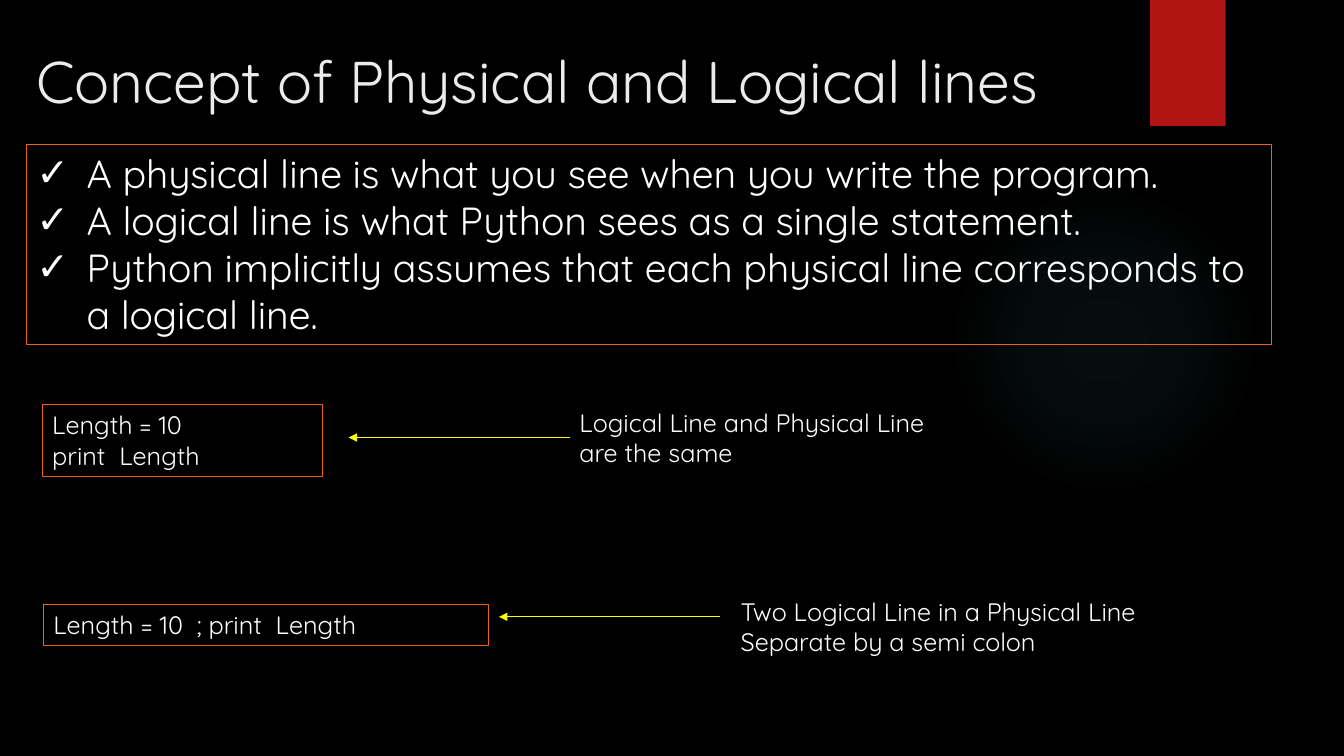
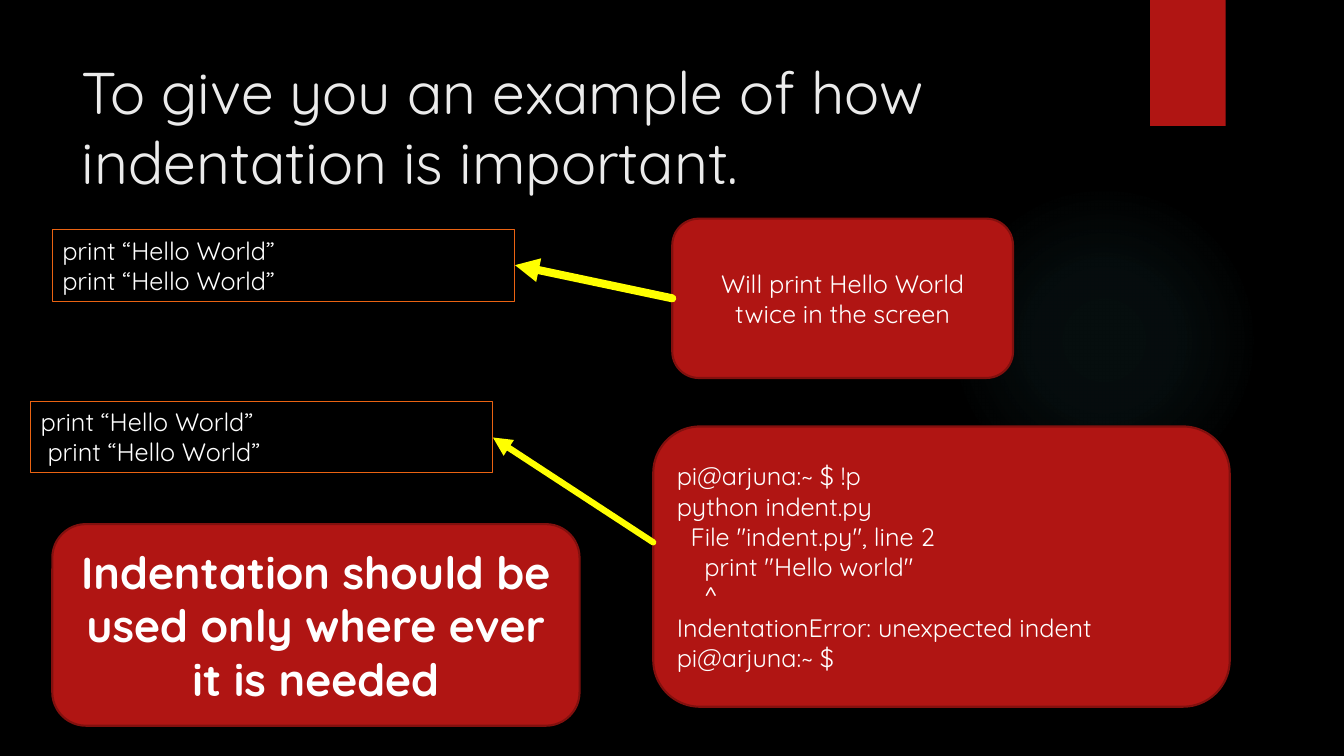
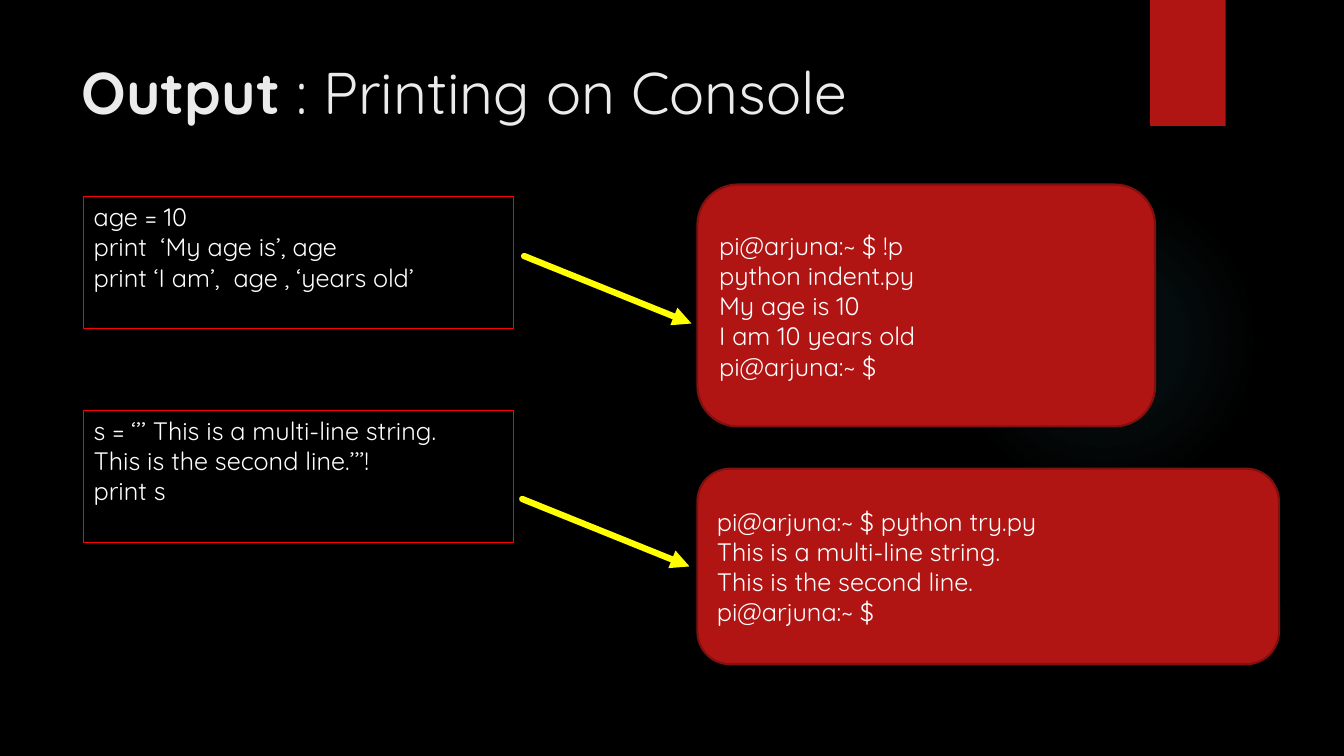
from dataclasses import dataclass

from pptx import Presentation
from pptx.dml.color import RGBColor
from pptx.enum.shapes import MSO_CONNECTOR, MSO_SHAPE
from pptx.enum.text import MSO_ANCHOR, MSO_AUTO_SIZE, PP_ALIGN
from pptx.oxml import parse_xml
from pptx.oxml.ns import nsdecls
from pptx.util import Pt

RECT, ROUND, OVAL = MSO_SHAPE.RECTANGLE, MSO_SHAPE.ROUNDED_RECTANGLE, MSO_SHAPE.OVAL
TOP, MID = MSO_ANCHOR.TOP, MSO_ANCHOR.MIDDLE
LEFT, CENTER = PP_ALIGN.LEFT, PP_ALIGN.CENTER
FIXED = MSO_AUTO_SIZE.NONE
LINE = MSO_CONNECTOR.STRAIGHT


@dataclass(frozen=True)
class Theme:
    font: str = "Quicksand"
    back: str = "000000"
    text: str = "FFFFFF"
    head: str = "EBEBEB"
    red: str = "B01513"
    edge: str = "82100E"
    orange: str = "EA6312"
    bright: str = "FF0000"
    arrow: str = "FFFF00"
    glow: str = "50B9C1"
    title: int = 42
    list: int = 28
    loud: int = 32
    body: int = 18
    thin: float = 0.75
    rim: float = 1.5


T = Theme()

# Kinds of text panel: shape, fill, edge, edge width, anchor, alignment, size, bold
KINDS = {
    "code": (RECT, None, T.orange, T.thin, TOP, LEFT, T.body, False),
    "input": (RECT, None, T.bright, T.thin, TOP, LEFT, T.body, False),
    "note": (None, None, None, 0, TOP, LEFT, T.body, False),
    "shell": (ROUND, T.red, T.edge, T.rim, MID, LEFT, T.body, False),
    "result": (ROUND, T.red, T.edge, T.rim, MID, CENTER, T.body, False),
    "rule": (ROUND, T.red, T.edge, T.rim, MID, CENTER, T.loud, True),
}

# Content: boxes are left, top, width, height; arrows are from x, y, to x, y, width
SLIDES = [
    {
        "title": ("", "Concept of Physical and Logical lines"),
        "at": (18.7, 28.1, 792, 62.6),
        "list": [
            "A physical line is what you see when you write the program.",
            "A logical line is what Python sees as a single statement.",
            "Python implicitly assumes that each physical line corresponds "
            "to a logical line.",
        ],
        "area": (18.7, 103, 889.2, 143.3),
        "panels": [
            ("code", (30.2, 289.2, 200.2, 50.9), ["Length = 10", "print  Length"]),
            ("note", (406.8, 287.3, 265.7, 50.9),
             ["Logical Line and Physical Line are the same"]),
            ("code", (31, 432, 318.2, 29.1), ["Length = 10  ; print  Length"]),
            ("note", (522, 422.6, 334.8, 50.9),
             ["Two Logical Line in a Physical Line", "Separate by a semi colon"]),
        ],
        "arrows": [(406.8, 312.5, 249.1, 312.5, T.thin),
                   (514.1, 440.6, 356.4, 440.6, T.thin)],
    },
    {
        "title": ("", "To give you an example of how indentation is important."),
        "at": (51.1, 36, 767.5, 93.6),
        "panels": [
            ("code", (37.4, 164.2, 329.8, 50.9),
             ["print “Hello World”", "print “Hello World”"]),
            ("result", (480.2, 156.2, 243.4, 113.8),
             ["Will print Hello World twice in the screen"]),
            ("code", (22, 286.6, 329.8, 50.9),
             ["print “Hello World”", " print “Hello World”"]),
            ("shell", (466.6, 304.6, 411.8, 200.2),
             ["pi@arjuna:~ $ !p", "python indent.py", '  File "indent.py", line 2',
              '    print "Hello world"', "    ^",
              "IndentationError: unexpected indent", "pi@arjuna:~ $"]),
            ("rule", (37.4, 374.4, 376.6, 144),
             ["Indentation should be used only where ever it is needed"]),
        ],
        "arrows": [(480.2, 213.1, 367.9, 189.4, 5.75),
                   (466.6, 387.4, 352.1, 312.5, 4.5)],
    },
    {
        "title": ("Output", " : Printing on Console"),
        "at": (51.1, 36, 740.9, 67.7),
        "panels": [
            ("input", (59.8, 140.4, 306.7, 94.5),
             ["age = 10", "print  ‘My age is’, age", "print ‘I am’,  age , ‘years old’"]),
            ("shell", (498.2, 131.8, 326.9, 172.8),
             ["pi@arjuna:~ $ !p", "python indent.py", "My age is 10",
              "I am 10 years old", "pi@arjuna:~ $"]),
            ("input", (59.8, 293, 306.7, 94.5),
             ["s = ‘’’ This is a multi-line string.", "This is the second line.’’’!",
              "print s"]),
            ("shell", (498.2, 334.8, 415.4, 139.7),
             ["pi@arjuna:~ $ python try.py", "This is a multi-line string.",
              "This is the second line.", "pi@arjuna:~ $"]),
        ],
        "arrows": [(374.4, 182.9, 493.9, 231.1, 4.5),
                   (373, 356.4, 492.5, 404.6, 4.5)],
    },
]


def rgb(code):
    return RGBColor.from_string(code)


def points(box):
    return [Pt(n) for n in box]


def place(shape, box):
    shape.left, shape.top, shape.width, shape.height = points(box)


def paint(shape, fill, edge, width):
    if fill:
        shape.fill.solid()
        shape.fill.fore_color.rgb = rgb(fill)
    else:
        shape.fill.background()
    if edge:
        shape.line.color.rgb = rgb(edge)
        shape.line.width = Pt(width)
    else:
        shape.line.fill.background()


def style(run, size, color=T.text, bold=False):
    run.font.name = T.font
    run.font.size = Pt(size)
    run.font.bold = bold
    run.font.color.rgb = rgb(color)


def set_frame(shape, anchor):
    frame = shape.text_frame
    frame.word_wrap = True
    frame.auto_size = FIXED
    frame.vertical_anchor = anchor
    return frame


def write(shape, lines, anchor, align, size, bold=False):
    frame = set_frame(shape, anchor)
    frame.text = "\n".join(lines)
    for para in frame.paragraphs:
        para.alignment = align
        para.space_before = Pt(0)
        for run in para.runs:
            style(run, size, bold=bold)
    return frame


def add_title(slide, parts, box):
    title = slide.shapes.title
    place(title, box)
    para = set_frame(title, TOP).paragraphs[0]
    para.alignment = LEFT
    for text, bold in zip(parts, (True, False)):
        if text:
            run = para.add_run()
            run.text = text
            style(run, T.title, T.head, bold)


def add_list(slide, lines, box):
    body = slide.placeholders[1]
    place(body, box)
    paint(body, None, T.orange, T.thin)
    for para in write(body, lines, TOP, LEFT, T.list).paragraphs:
        props = para._p.get_or_add_pPr()
        props.set("marL", str(Pt(36)))
        props.set("indent", str(Pt(-36)))
        props.append(parse_xml(f'<a:buFont {nsdecls("a")} typeface="Arial"/>'))
        props.append(parse_xml(f'<a:buChar {nsdecls("a")} char="✓"/>'))


def add_panel(slide, kind, box, lines):
    form, fill, edge, width, *rest = KINDS[kind]
    if form is None:
        shape = slide.shapes.add_textbox(*points(box))
    else:
        shape = slide.shapes.add_shape(form, *points(box))
        shape.shadow.inherit = False
        paint(shape, fill, edge, width)
    write(shape, lines, *rest)


def add_arrow(slide, x1, y1, x2, y2, width):
    line = slide.shapes.add_connector(LINE, *points((x1, y1, x2, y2)))
    line.line.color.rgb = rgb(T.arrow)
    line.line.width = Pt(width)
    stroke = line.line._get_or_add_ln()
    stroke.set("cap", "rnd")
    stroke.append(parse_xml(f'<a:tailEnd {nsdecls("a")} type="triangle"/>'))
    line._element.spPr.append(parse_xml(f'<a:effectLst {nsdecls("a")}/>'))


def add_decor(master, slide):
    """Draw the glow and the band, then hand them to the master."""
    glow = slide.shapes.add_shape(OVAL, *points((677.5, 131.8, 221.8, 221.8)))
    band = slide.shapes.add_shape(RECT, *points((821.5, 0, 54, 90)))
    paint(glow, T.glow, None, 0)
    paint(band, T.red, None, 0)
    stops = "".join(
        f'<a:gs pos="{pos}000"><a:srgbClr val="{T.glow}">'
        f'<a:alpha val="{alpha}000"/></a:srgbClr></a:gs>'
        for pos, alpha in ((0, 7), (36, 6), (69, 0)))
    fade = parse_xml(
        f'<a:gradFill {nsdecls("a")}><a:gsLst>{stops}</a:gsLst><a:path path="circle">'
        '<a:fillToRect l="50000" t="50000" r="50000" b="50000"/></a:path></a:gradFill>')
    props = glow._element.spPr
    props.replace(props.solidFill, fade)
    for spot, shape in enumerate((glow, band), 2):
        shape.shadow.inherit = False
        master.shapes.element.insert(spot, shape.element)


# Deck and shared background
deck = Presentation()
deck.slide_width, deck.slide_height = Pt(960), Pt(540)
master = deck.slide_master
master.background.fill.solid()
master.background.fill.fore_color.rgb = rgb(T.back)

# Slides
for page in SLIDES:
    slide = deck.slides.add_slide(deck.slide_layouts[1 if "list" in page else 5])
    add_title(slide, page["title"], page["at"])
    if "list" in page:
        add_list(slide, page["list"], page["area"])
    for panel in page["panels"]:
        add_panel(slide, *panel)
    for arrow in page["arrows"]:
        add_arrow(slide, *arrow)

add_decor(master, deck.slides[0])
deck.save("out.pptx")
